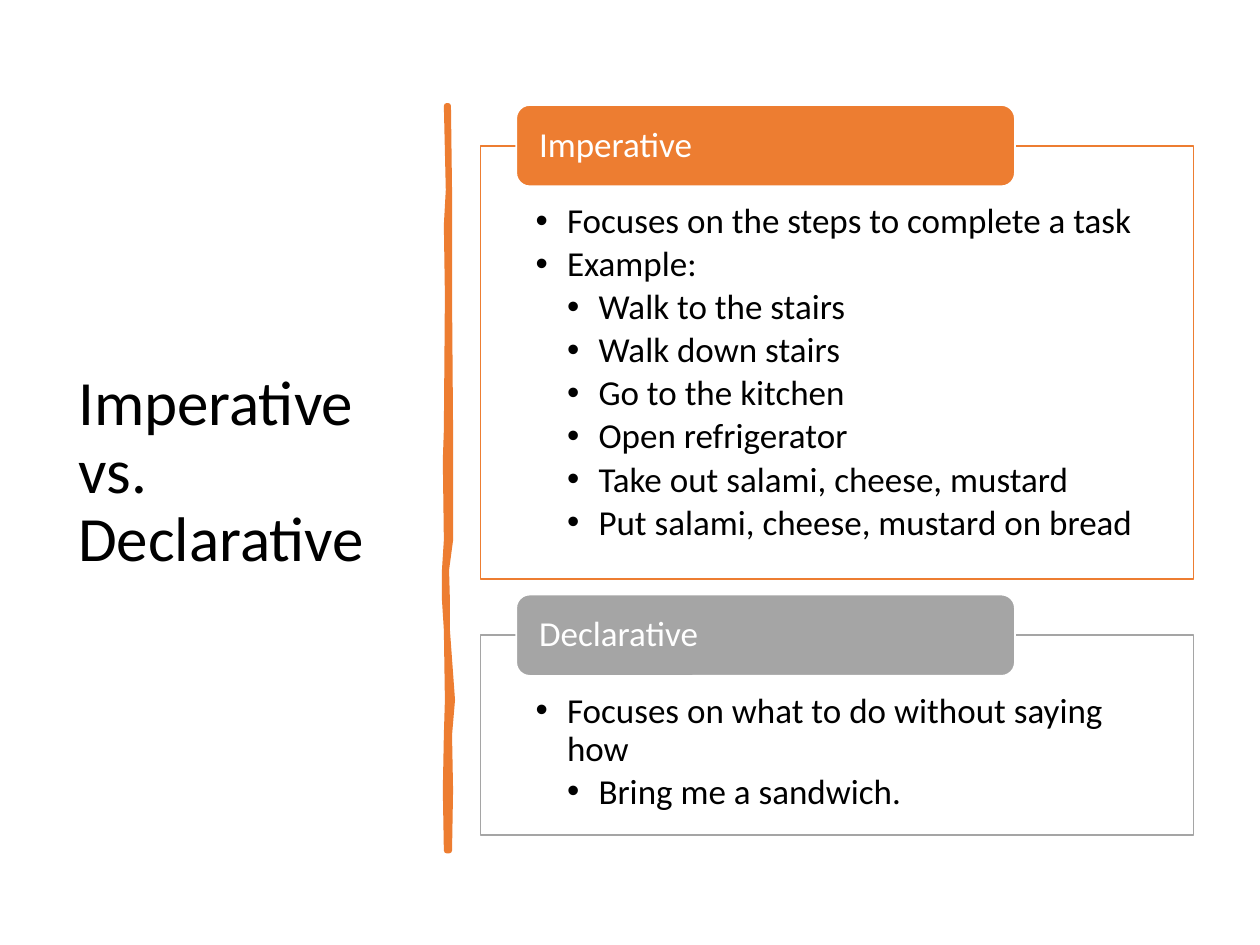
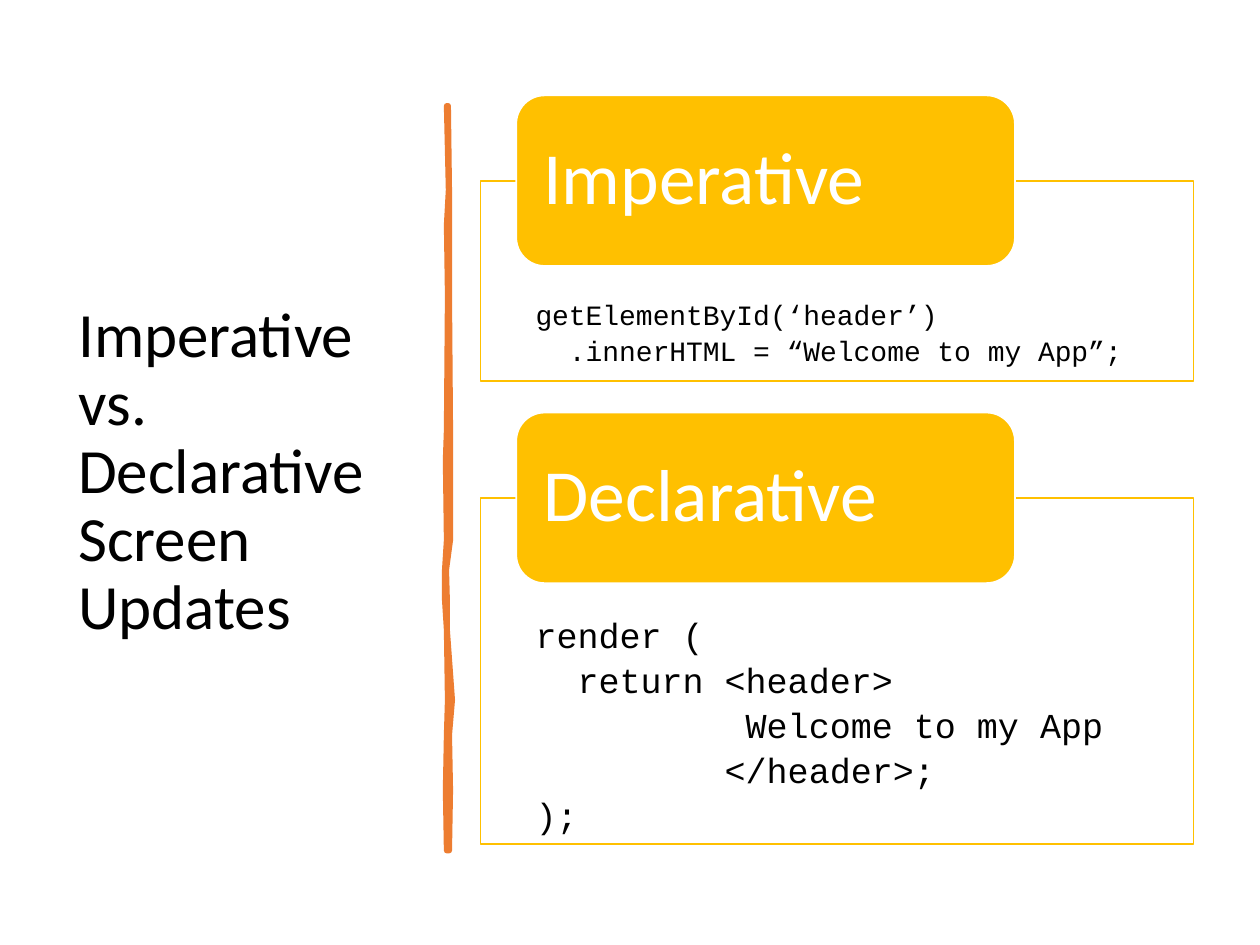
from lxml import etree
from pptx import Presentation
from pptx.dml.color import RGBColor
from pptx.enum.shapes import MSO_SHAPE
from pptx.enum.text import MSO_ANCHOR, MSO_AUTO_SIZE, PP_ALIGN
from pptx.oxml.ns import qn
from pptx.util import Pt

WHITE = RGBColor(0xFF, 0xFF, 0xFF)
BLACK = RGBColor(0x00, 0x00, 0x00)
ORANGE = RGBColor(0xED, 0x7D, 0x31)
GRAY = RGBColor(0xA5, 0xA5, 0xA5)
GOLD = RGBColor(0xFF, 0xC0, 0x00)
TEXT_FONT, CODE_FONT = "Calibri", "Courier New"

# Content: each line is (outline level, text); code lines have level 0
SLIDES = [
    {
        "title": "Imperative vs. Declarative",
        "top": 60, "gap": 9, "tab_height": 46.5, "tab_size": 20, "inset_top": 33,
        "panels": [
            {"heading": "Imperative", "color": ORANGE, "height": 247.5, "size": 20,
             "lines": [
                 (1, "Focuses on the steps to complete a task"),
                 (1, "Example:"),
                 (2, "Walk to the stairs"),
                 (2, "Walk down stairs"),
                 (2, "Go to the kitchen"),
                 (2, "Open refrigerator"),
                 (2, "Take out salami, cheese, mustard"),
                 (2, "Put salami, cheese, mustard on bread"),
             ]},
            {"heading": "Declarative", "color": GRAY, "height": 114, "size": 20,
             "lines": [
                 (1, "Focuses on what to do without saying how"),
                 (2, "Bring me a sandwich."),
             ]},
        ],
    },
    {
        "title": "Imperative vs. Declarative Screen Updates",
        "top": 54.5, "gap": 18, "tab_height": 97.5, "tab_size": 42, "inset_top": 69,
        "panels": [
            {"heading": "Imperative", "color": GOLD, "height": 114.5, "size": 16,
             "lines": [
                 (0, "getElementById(‘header’)"),
                 (0, "  .innerHTML = “Welcome to my App”;"),
             ]},
            {"heading": "Declarative", "color": GOLD, "height": 198, "size": 20,
             "lines": [
                 (0, "render ("),
                 (0, "  return <header>"),
                 (0, "          Welcome to my App"),
                 (0, "         </header>;"),
                 (0, ");"),
             ]},
        ],
    },
]

# Hand-drawn divider: (y, left edge, right edge)
DIVIDER = [
    (60.5, 255.3, 256.1), (108.6, 256.4, 256.7), (128.6, 255.3, 256.7),
    (168.6, 255.9, 256.7), (245.7, 255.3, 257.3), (262.9, 254.7, 257.3),
    (308.6, 255.3, 257.3), (325.7, 254.2, 255), (342.9, 254.2, 255.5),
    (360, 255.3, 255.5), (400, 255.9, 258.4), (420, 255.3, 256.7),
    (451.4, 254.7, 257.3), (486, 255.3, 256.7),
]

# Shared geometry
PANEL_LEFT, PANEL_WIDTH = 274.5, 407.5
TAB_LEFT, TAB_WIDTH = 295, 285
INDENT = 18


def place(shape, left, top, width, height):
    shape.left, shape.top = Pt(left), Pt(top)
    shape.width, shape.height = Pt(width), Pt(height)


def paint(shape, fill, line, weight):
    shape.fill.solid()
    shape.fill.fore_color.rgb = fill
    shape.line.color.rgb = line
    shape.line.width = Pt(weight)


def set_insets(frame, left, top, right, bottom):
    frame.margin_left, frame.margin_top = Pt(left), Pt(top)
    frame.margin_right, frame.margin_bottom = Pt(right), Pt(bottom)


def style(paragraph, face, size, color, after=0):
    paragraph.alignment = PP_ALIGN.LEFT
    paragraph.line_spacing = 0.9
    paragraph.space_before, paragraph.space_after = Pt(0), Pt(after)
    paragraph.font.name = face
    paragraph.font.size = Pt(size)
    paragraph.font.color.rgb = color


def set_bullet(paragraph, level):
    props = paragraph._p.get_or_add_pPr()
    props.set("marL", str(Pt(INDENT * level)))
    props.set("indent", str(Pt(-INDENT if level else 0)))
    if level:
        paragraph.level = level - 1
        etree.SubElement(props, qn("a:buChar")).set("char", "•")
    else:
        etree.SubElement(props, qn("a:buNone"))


def add_title(slide, text):
    title = slide.shapes.title
    place(title, 37.5, 50.5, 201.5, 440)
    frame = title.text_frame
    frame.text = text
    frame.vertical_anchor = MSO_ANCHOR.MIDDLE
    frame.auto_size = MSO_AUTO_SIZE.NONE
    style(frame.paragraphs[0], TEXT_FONT, 36, BLACK)


def add_divider(slide):
    right_side = [(Pt(right), Pt(y)) for y, _, right in DIVIDER]
    left_side = [(Pt(left), Pt(y)) for y, left, _ in reversed(DIVIDER)]
    outline = right_side + left_side
    builder = slide.shapes.build_freeform(*outline[0])
    builder.add_line_segments(outline[1:], close=True)
    divider = builder.convert_to_shape()
    divider.shadow.inherit = False
    paint(divider, ORANGE, ORANGE, 3.25)


def fill_panel(body, panel, top, inset_top):
    place(body, PANEL_LEFT, top, PANEL_WIDTH, panel["height"])
    paint(body, WHITE, panel["color"], 1)
    frame = body.text_frame
    frame.word_wrap = True
    frame.auto_size = MSO_AUTO_SIZE.NONE
    frame.vertical_anchor = MSO_ANCHOR.TOP
    set_insets(frame, 31.5, inset_top, 31.5, 9)
    for i, (level, text) in enumerate(panel["lines"]):
        paragraph = frame.paragraphs[0] if i == 0 else frame.add_paragraph()
        paragraph.text = text
        set_bullet(paragraph, level)
        face, spacing = (TEXT_FONT, 0.15) if level else (CODE_FONT, 0.2)
        style(paragraph, face, panel["size"], BLACK, panel["size"] * spacing)


def add_tab(slide, panel, top, height, size):
    tab = slide.shapes.add_shape(MSO_SHAPE.ROUNDED_RECTANGLE, Pt(TAB_LEFT), Pt(top),
                                 Pt(TAB_WIDTH), Pt(height))
    tab.shadow.inherit = False
    paint(tab, panel["color"], WHITE, 1)
    frame = tab.text_frame
    frame.word_wrap = True
    frame.vertical_anchor = MSO_ANCHOR.MIDDLE
    set_insets(frame, 10.8, 0, 10.8, 0)
    frame.text = panel["heading"]
    style(frame.paragraphs[0], TEXT_FONT, size, WHITE)


def build_slide(deck, content):
    slide = deck.slides.add_slide(deck.slide_layouts.get_by_name("Two Content"))
    add_title(slide, content["title"])
    add_divider(slide)

    # Each tab straddles the top edge of its panel
    tab_top, tab_height = content["top"], content["tab_height"]
    for idx, panel in enumerate(content["panels"], start=1):
        panel_top = tab_top + tab_height / 2
        fill_panel(slide.placeholders[idx], panel, panel_top, content["inset_top"])
        add_tab(slide, panel, tab_top, tab_height, content["tab_size"])
        tab_top = panel_top + panel["height"] + content["gap"]


def main():
    deck = Presentation()
    deck.slide_width, deck.slide_height = Pt(720), Pt(540)
    for content in SLIDES:
        build_slide(deck, content)
    deck.save("out.pptx")


if __name__ == "__main__":
    main()
